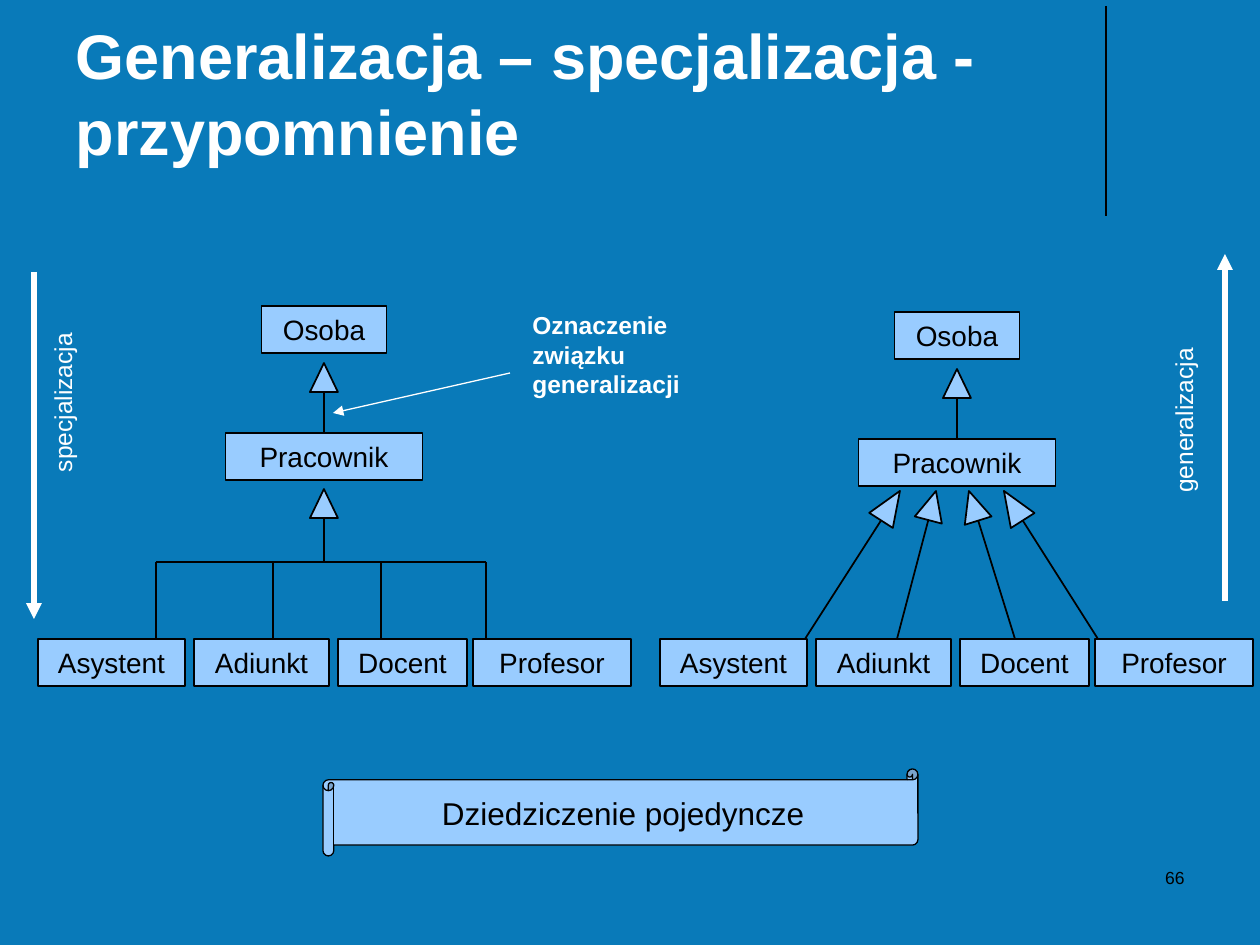
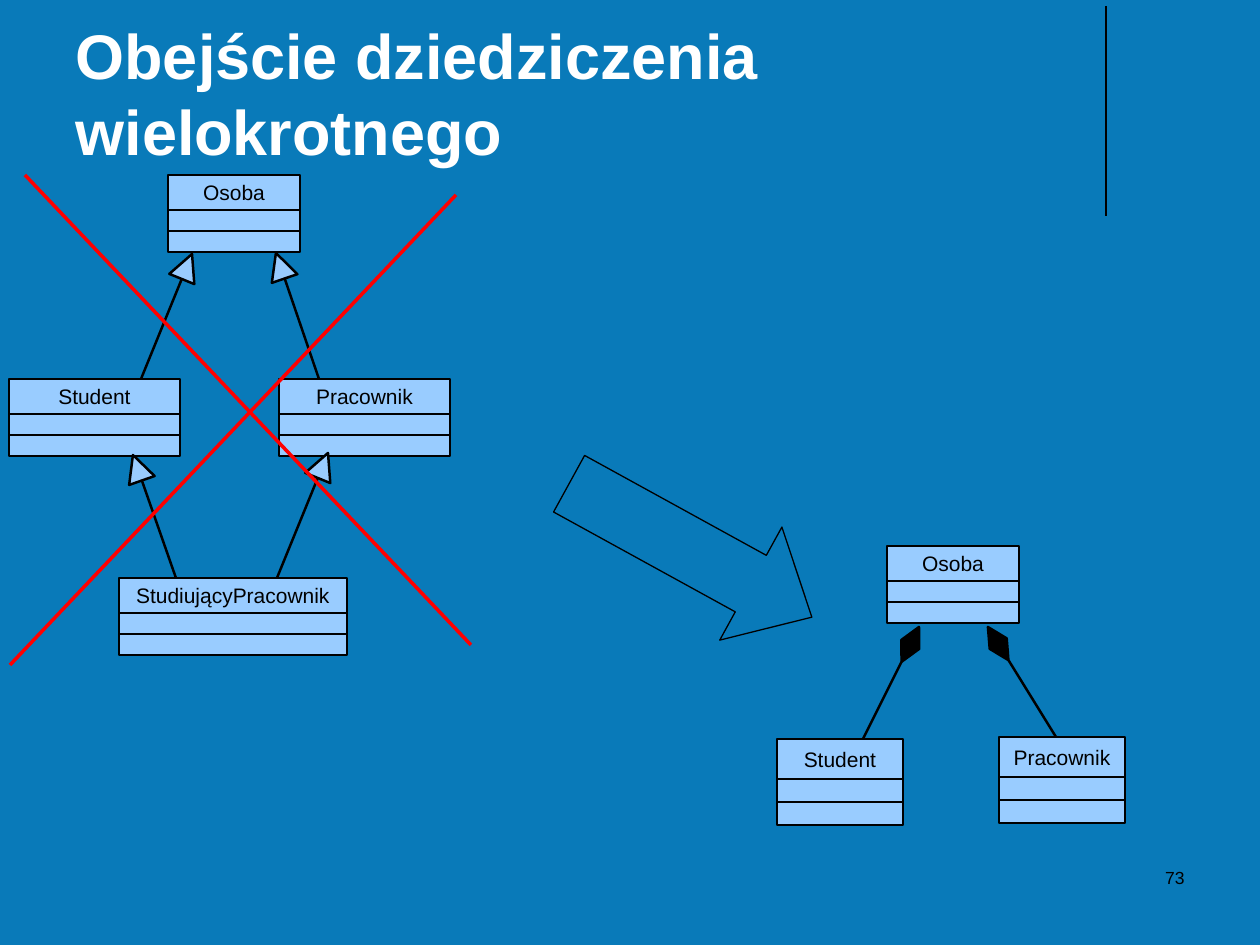
from math import atan2, degrees, hypot

from lxml import etree
from pptx import Presentation
from pptx.dml.color import RGBColor
from pptx.enum.shapes import MSO_CONNECTOR, MSO_SHAPE as Preset
from pptx.enum.text import MSO_ANCHOR as Anchor, MSO_AUTO_SIZE, PP_ALIGN as Align
from pptx.oxml.ns import qn
from pptx.util import Pt

EMU_PER_PX = 914400 / 126
SLIDE_SIZE = (1260, 945)
FONT = "Arial"
COLORS = {
    "background": "097AB9",
    "box": "99CCFF",
    "ink": "000000",
    "light": "FFFFFF",
    "cross": "FF0000",
}
TREE_LINE, CLASS_LINE = 1, 1.42
BOX_HEIGHT = 47
LEAVES_TOP = 639
# name, left within the row, width
LEAVES = [("Asystent", 0, 147), ("Adiunkt", 156, 135),
          ("Docent", 300, 129), ("Profesor", 435, 158)]


def px(length):
    return round(length * EMU_PER_PX)


def color(name):
    return RGBColor.from_string(COLORS[name])


def write(frame, text, size, ink="ink", bold=False, align=Align.LEFT, anchor=Anchor.TOP):
    frame.word_wrap = True
    frame.auto_size = MSO_AUTO_SIZE.NONE
    frame.vertical_anchor = anchor
    paragraph = frame.paragraphs[0]
    paragraph.text = text
    paragraph.alignment = align
    font = paragraph.font
    font.name, font.size, font.bold = FONT, Pt(size), bold
    font.color.rgb = color(ink)


def add_label(slide, box, text, size, rotation=0, **style):
    label = slide.shapes.add_textbox(*map(px, box))
    label.rotation = rotation
    write(label.text_frame, text, size, **style)


def add_preset(slide, preset, box, weight, fill="box", rotation=0):
    shape = slide.shapes.add_shape(preset, *map(px, box))
    shape.shadow.inherit = False
    shape.rotation = rotation
    if fill:
        shape.fill.solid()
        shape.fill.fore_color.rgb = color(fill)
    else:
        shape.fill.background()
    shape.line.color.rgb = color("ink")
    shape.line.width = Pt(weight)
    return shape


def add_text_box(slide, box, text, size, weight, preset=Preset.RECTANGLE):
    shape = add_preset(slide, preset, box, weight)
    write(shape.text_frame, text, size, align=Align.CENTER, anchor=Anchor.MIDDLE)


def add_line(slide, start, end, weight, ink="ink", arrow=False):
    line = slide.shapes.add_connector(MSO_CONNECTOR.STRAIGHT, *map(px, start + end))
    line.line.color.rgb = color(ink)
    line.line.width = Pt(weight)
    properties = line._element.spPr
    if arrow:
        etree.SubElement(properties.find(qn("a:ln")), qn("a:tailEnd"), type="triangle")
    etree.SubElement(properties, qn("a:effectLst"))


def add_relation(slide, tip, end, head_size, weight, head=Preset.ISOSCELES_TRIANGLE,
                 fill="box"):
    """Draw a UML relation: a head pointing at tip, and a line from its base to end."""
    width, length = head_size
    dx, dy = tip[0] - end[0], tip[1] - end[1]
    distance = hypot(dx, dy)

    def behind_tip(step):
        return tip[0] - dx * step / distance, tip[1] - dy * step / distance

    center_x, center_y = behind_tip(length / 2)
    head_box = (center_x - width / 2, center_y - length / 2, width, length)
    add_preset(slide, head, head_box, weight, fill, degrees(atan2(dx, -dy)))
    add_line(slide, behind_tip(length), end, weight)


def add_base_slide(prs, title, number):
    slide = prs.slides.add_slide(prs.slide_layouts[5])
    add_line(slide, (1106, 6), (1106, 216), 0.75)
    heading = slide.shapes.title
    heading.left, heading.top, heading.width, heading.height = map(px, (63, 16, 1040, 158))
    write(heading.text_frame, title, 36, "light", bold=True, anchor=Anchor.BOTTOM)
    add_label(slide, (903, 861, 294, 63), number, 10, align=Align.RIGHT)
    return slide


def add_parents(slide, center, top):
    """Draw Osoba above Pracownik, joined by a generalization."""
    employee_top = top + 127
    add_relation(slide, (center, top + 57), (center, employee_top), (28, 29), TREE_LINE)
    for name, name_top, width in (("Osoba", top, 125), ("Pracownik", employee_top, 197)):
        add_text_box(slide, (center - width / 2, name_top, width, BOX_HEIGHT),
                     name, 16, TREE_LINE)


def add_leaves(slide, left):
    for name, offset, width in LEAVES:
        add_text_box(slide, (left + offset, LEAVES_TOP, width, BOX_HEIGHT),
                     name, 16, TREE_LINE)


def add_shared_tree(slide, left):
    """Draw the hierarchy whose leaves share one generalization head."""
    center, bus_y = left + 286, 562
    drops = [left + offset for offset in (118, 235, 343, 448)]
    add_parents(slide, center, 306)
    add_relation(slide, (center, 489), (center, bus_y), (28, 29), TREE_LINE)
    add_line(slide, (drops[0], bus_y), (drops[-1], bus_y), TREE_LINE)
    for x in drops:
        add_line(slide, (x, bus_y), (x, LEAVES_TOP), TREE_LINE)
    add_leaves(slide, left)


def add_separate_tree(slide, left):
    """Draw the hierarchy whose leaves each have their own head."""
    add_parents(slide, left + 297, 312)
    for tip_x, end_x, length in ((240, 145, 35), (276, 237, 30),
                                 (309, 355, 31), (344, 438, 35)):
        add_relation(slide, (left + tip_x, 491), (left + end_x, LEAVES_TOP),
                     (28, length), TREE_LINE)
    add_leaves(slide, left)


def add_direction(slide, text, start, end, label_center):
    add_line(slide, start, end, 3, "light", arrow=True)
    x, y = label_center
    add_label(slide, (x - 95, y - 21, 190, 43), text, 14, rotation=270,
              ink="light", align=Align.CENTER)


def add_class(slide, name, left, top, width, height=77):
    """Draw a UML class: a name strip over two empty compartments."""
    name_height = round(height * 0.46)
    part_height = (height - name_height) / 2
    add_text_box(slide, (left, top, width, name_height), name, 12, CLASS_LINE)
    for index in range(2):
        part_top = top + name_height + index * part_height
        add_preset(slide, Preset.RECTANGLE, (left, part_top, width, part_height), CLASS_LINE)


def add_multiple_inheritance(slide, left, top):
    for name, x, y, width in (("Osoba", 160, 0, 132), ("Student", 1, 204, 171),
                              ("Pracownik", 271, 204, 171),
                              ("StudiującyPracownik", 111, 403, 228)):
        add_class(slide, name, left + x, top + y, width)
    for tip_x, tip_y, end_x, end_y in ((184, 79, 133, 204), (268, 78, 311, 204),
                                       (125, 280, 168, 403), (320, 278, 269, 403)):
        add_relation(slide, (left + tip_x, top + tip_y), (left + end_x, top + end_y),
                     (27, 27), CLASS_LINE)


def add_cross(slide, left, top):
    add_line(slide, (left, top + 490), (left + 446, top + 20), 2, "cross")
    add_line(slide, (left + 461, top + 470), (left + 15, top), 2, "cross")


def add_composition(slide, left, top):
    add_class(slide, "Osoba", left + 110, top, 132)
    for name, x, y, tip_x, end_x in (("Student", 0, 193, 142, 86),
                                     ("Pracownik", 222, 191, 211, 279)):
        add_class(slide, name, left + x, top + y, 126, 86)
        add_relation(slide, (left + tip_x, top + 81), (left + end_x, top + y),
                     (20, 39), CLASS_LINE, Preset.DIAMOND, "ink")


def build_generalization_slide(prs):
    slide = add_base_slide(prs, "Generalizacja – specjalizacja - przypomnienie", "66")
    add_direction(slide, "specjalizacja", (34, 272), (34, 619), (63, 402))
    add_direction(slide, "generalizacja", (1225, 601), (1225, 254), (1184, 420))
    add_shared_tree(slide, 38)
    add_separate_tree(slide, 660)
    add_line(slide, (510, 373), (333, 413), 0.75, "light", arrow=True)
    add_label(slide, (520, 304, 179, 101), "Oznaczenie związku generalizacji", 14,
              ink="light", bold=True)
    add_text_box(slide, (323, 769, 595, 87), "Dziedziczenie pojedyncze", 18, 0,
                 Preset.HORIZONTAL_SCROLL)


def build_workaround_slide(prs):
    slide = add_base_slide(prs, "Obejście dziedziczenia wielokrotnego", "73")
    add_multiple_inheritance(slide, 8, 175)
    add_composition(slide, 777, 546)
    transition = add_preset(slide, Preset.RIGHT_ARROW, (552, 486, 277, 129), 0,
                            fill=None, rotation=28.8)
    transition.adjustments[1] = 0.54
    add_cross(slide, 10, 175)


def main():
    prs = Presentation()
    prs.slide_width, prs.slide_height = map(px, SLIDE_SIZE)
    background = prs.slide_master.background.fill
    background.solid()
    background.fore_color.rgb = color("background")
    build_generalization_slide(prs)
    build_workaround_slide(prs)
    prs.save("out.pptx")


if __name__ == "__main__":
    main()
